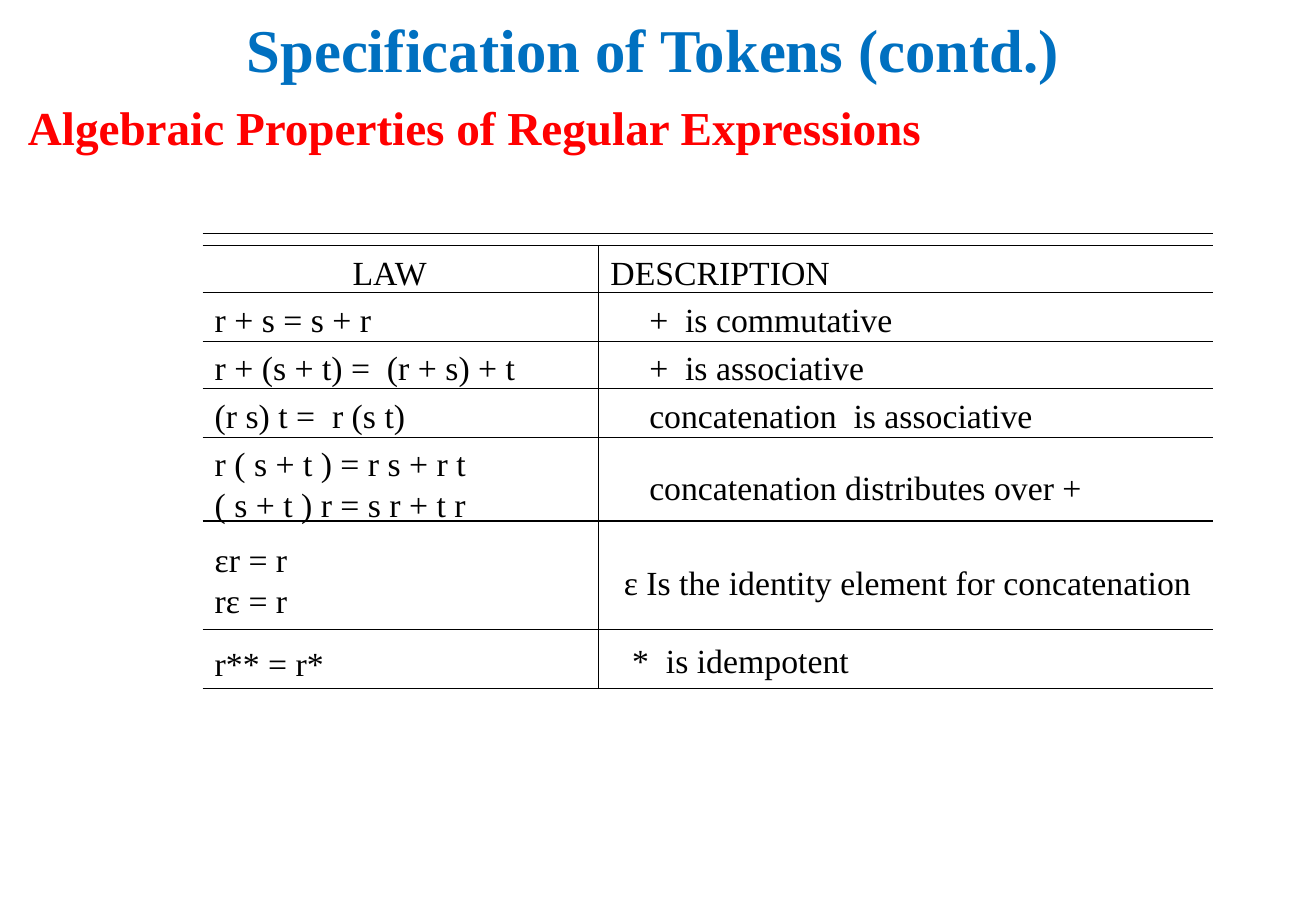
from lxml.etree import SubElement
from pptx import Presentation
from pptx.dml.color import RGBColor
from pptx.enum.shapes import MSO_CONNECTOR
from pptx.enum.text import MSO_ANCHOR, MSO_AUTO_SIZE, PP_ALIGN
from pptx.oxml.ns import qn
from pptx.util import Inches, Pt

HEADING = "Specification of Tokens (contd.)"
SUBHEADING = "Algebraic Properties of Regular Expressions"
FONT = "Times New Roman"
BLACK, BLUE, RED = "000000", "0070C0", "FF0000"

LEFT, DIVIDER, RIGHT = 1.67, 4.93, 9.99
RULE_TOPS = [1.92, 2.02, 2.41, 2.81, 3.2, 3.6, 4.29, 5.18, 5.67]
LAW_WIDTH, DESCRIPTION_WIDTH = 3.08, 5.06
LINE_HEIGHT, PADDING = 0.33, 0.1

# Each entry: law lines, law top, description, description left, description top
LAWS = [
    (["LAW"], 2.02, "DESCRIPTION", DIVIDER, 2.02),
    (["r + s = s + r"], 2.41, "+  is commutative", 5.25, 2.41),
    (["r + (s + t) =  (r + s) + t"], 2.81, "+  is associative", 5.25, 2.81),
    (["(r s) t =  r (s t)"], 3.2, "concatenation  is associative", 5.25, 3.2),
    (["r ( s + t ) = r s + r t", "( s + t ) r = s r + t r"], 3.6,
     "concatenation distributes over +", 5.25, 3.79),
    (["εr = r", "rε = r"], 4.39,
     "ε Is the identity element for concatenation", 5.04, 4.58),
    (["r** = r*"], 5.24, "*  is idempotent", 5.11, 5.22),
]


def color(value):
    return RGBColor.from_string(value)


def write(shape, lines, size, shade, bold=False, align=PP_ALIGN.LEFT,
          anchor=MSO_ANCHOR.TOP):
    frame = shape.text_frame
    frame.word_wrap = True
    frame.auto_size = MSO_AUTO_SIZE.NONE
    frame.vertical_anchor = anchor
    for index, line in enumerate(lines):
        para = frame.paragraphs[0] if index == 0 else frame.add_paragraph()
        para.alignment = align
        span = para.add_run()
        span.text = line
        span.font.name = FONT
        span.font.size = Pt(size)
        span.font.bold = bold
        span.font.color.rgb = color(shade)


def add_text(page, left, top, width, height, *content, **style):
    box = page.shapes.add_textbox(*map(Inches, (left, top, width, height)))
    write(box, *content, **style)


def add_rule(page, *ends):
    rule = page.shapes.add_connector(MSO_CONNECTOR.STRAIGHT, *map(Inches, ends))
    rule.line.color.rgb = color(BLACK)
    rule.line.width = Pt(0.75)
    SubElement(rule.element.spPr, qn("a:effectLst"))


def main():
    deck = Presentation()
    deck.slide_width, deck.slide_height = Inches(10.84), Inches(7.5)
    page = deck.slides.add_slide(deck.slide_layouts[5])

    title = page.shapes.title
    title.left, title.top = Inches(0.13), Inches(0.75)
    title.width, title.height = Inches(10.25), Inches(0.58)
    write(title, [SUBHEADING], 28, RED, bold=True, anchor=MSO_ANCHOR.MIDDLE)
    add_text(page, 0.38, 0.06, 10, 0.68, [HEADING], 36, BLUE, bold=True,
             align=PP_ALIGN.CENTER, anchor=MSO_ANCHOR.MIDDLE)

    for top in RULE_TOPS:
        add_rule(page, LEFT, top, RIGHT, top)
    add_rule(page, DIVIDER, RULE_TOPS[1], DIVIDER, RULE_TOPS[-1])

    for row, (lines, top, description, left, description_top) in enumerate(LAWS):
        align = PP_ALIGN.CENTER if row == 0 else PP_ALIGN.LEFT
        height = len(lines) * LINE_HEIGHT + PADDING
        add_text(page, LEFT, top, LAW_WIDTH, height, lines, 20, BLACK, align=align)
        add_text(page, left, description_top, DESCRIPTION_WIDTH,
                 LINE_HEIGHT + PADDING, [description], 20, BLACK)

    deck.save("out.pptx")


if __name__ == "__main__":
    main()
